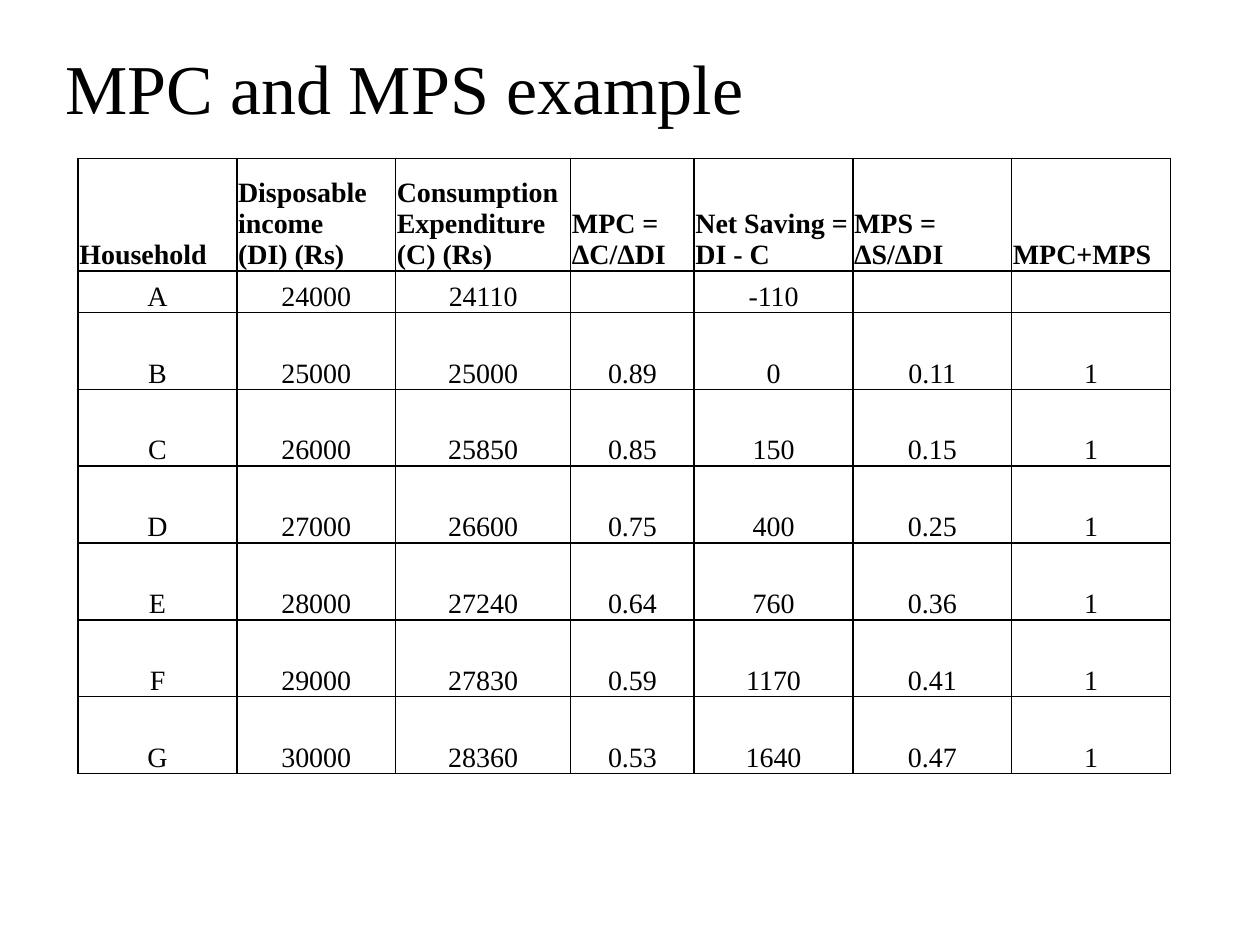
"""Build the MPC and MPS example slide with its household table."""
from pptx import Presentation
from pptx.util import Inches, Pt
from pptx.dml.color import RGBColor
from pptx.enum.text import PP_ALIGN, MSO_ANCHOR
from lxml.etree import SubElement
from pptx.oxml.ns import qn

theme = {
    "font": "Times New Roman",
    "ink": "000000",
    "title": 40,
    "body": 16,
    "line": 1,
}


def write(frame, text, size, bold=False, align=PP_ALIGN.LEFT):
    frame.word_wrap = True
    for i, line in enumerate(text.split("\n")):
        para = frame.paragraphs[0] if i == 0 else frame.add_paragraph()
        para.alignment = align
        para.font.size = Pt(size)
        if line:
            run = para.add_run()
            run.text = line
            run.font.name = theme["font"]
            run.font.size = Pt(size)
            run.font.bold = bold
            run.font.color.rgb = RGBColor.from_string(theme["ink"])


def border(cell):
    props = cell._tc.get_or_add_tcPr()
    for i, side in enumerate(("a:lnL", "a:lnR", "a:lnT", "a:lnB")):
        line = props.makeelement(qn(side), {"w": str(Pt(theme["line"]))})
        fill = SubElement(line, qn("a:solidFill"))
        SubElement(fill, qn("a:srgbClr"), val=theme["ink"])
        props.insert(i, line)


deck = Presentation()
deck.slide_width, deck.slide_height = Inches(10), Inches(7.5)
slide = deck.slides.add_slide(deck.slide_layouts[6])

title = slide.shapes.add_textbox(Inches(0.42), Inches(0.26), Inches(9), Inches(1))
title.text_frame.vertical_anchor = MSO_ANCHOR.MIDDLE
title.text_frame.margin_bottom = Inches(0.19)
write(title.text_frame, "MPC and MPS example", size=theme["title"])

rows = [
    ["Household", "Disposable income \n(DI) (Rs)", "Consumption Expenditure (C) (Rs) ",
     "MPC = ΔC/ΔDI", "Net Saving = DI - C", "MPS = ΔS/ΔDI", "MPC+MPS"],
    ["A", "24000", "24110", "", "-110", "", ""],
    ["B", "25000", "25000", "0.89", "0", "0.11", "1"],
    ["C", "26000", "25850", "0.85", "150", "0.15", "1"],
    ["D", "27000", "26600", "0.75", "400", "0.25", "1"],
    ["E", "28000", "27240", "0.64", "760", "0.36", "1"],
    ["F", "29000", "27830", "0.59", "1170", "0.41", "1"],
    ["G", "30000", "28360", "0.53", "1640", "0.47", "1"],
]
widths = [1.26, 1.26, 1.39, 0.98] + [1.26] * 3
heights = [0.89, 0.33] + [0.61] * 6

table = slide.shapes.add_table(
    len(rows), len(widths), Inches(0.62), Inches(1.26),
    Inches(sum(widths)), Inches(sum(heights))).table
table.horz_banding = False
table.first_row = False
for col, width in zip(table.columns, widths):
    col.width = Inches(width)

for r, (row, height) in enumerate(zip(rows, heights)):
    table.rows[r].height = Inches(height)
    head = r == 0
    for c, text in enumerate(row):
        cell = table.cell(r, c)
        cell.fill.background()
        cell.vertical_anchor = MSO_ANCHOR.BOTTOM
        cell.margin_left = cell.margin_right = cell.margin_top = Inches(0.01)
        cell.margin_bottom = Inches(0)
        write(cell.text_frame, text, size=theme["body"], bold=head,
              align=PP_ALIGN.LEFT if head else PP_ALIGN.CENTER)
        border(cell)

deck.save("out.pptx")
